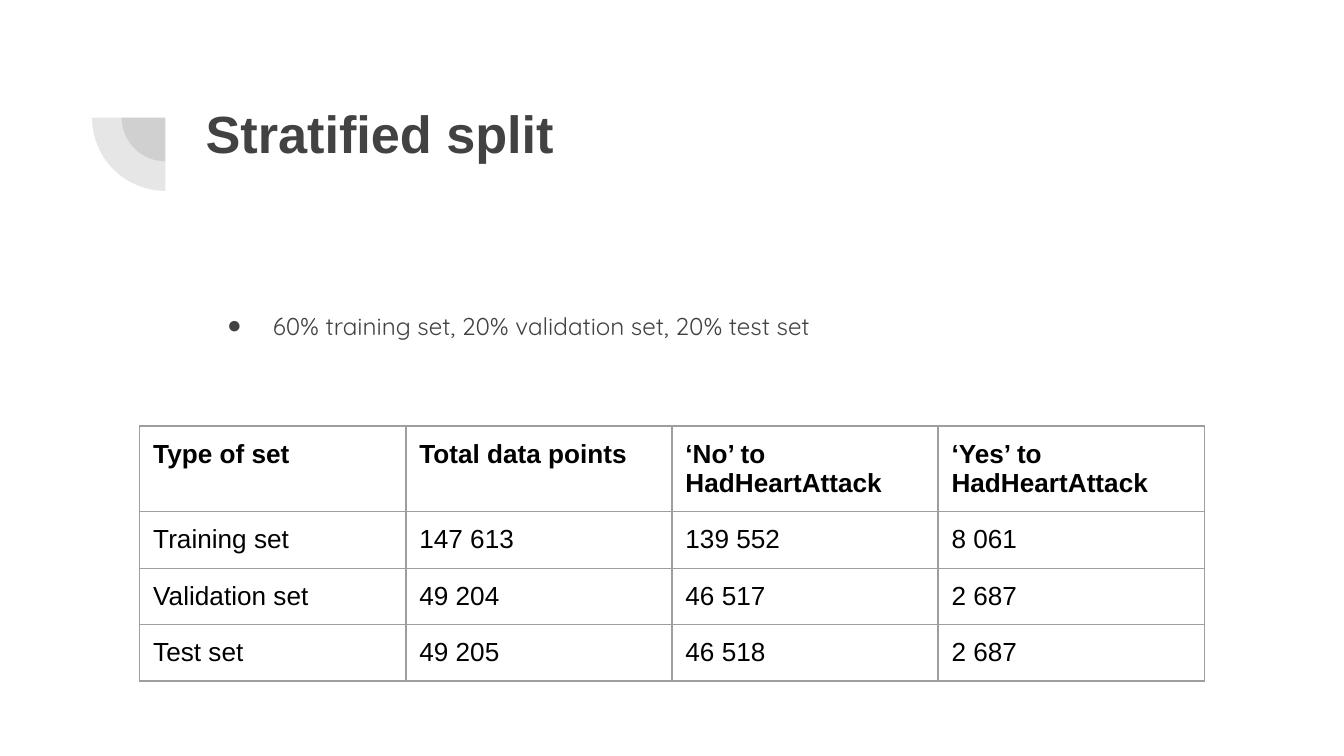
from lxml import etree
from pptx import Presentation
from pptx.dml import color
from pptx.enum import shapes, text
from pptx.oxml import ns
from pptx import util as u

GRID = 0.1  # inches per grid step
COLUMNS = 100
ROWS = COLUMNS * 9 / 16  # widescreen page


def steps(count):
    return u.Inches(count * GRID)


def rgb(hex_code):
    return color.RGBColor.from_string(hex_code)


def add_xml(parent, tag, **attributes):
    return etree.SubElement(parent, ns.qn(tag), attributes)


class SlideBuilder:
    INK, TABLE_INK, RULE = "424242", "000000", "9E9E9E"
    HEAD_FONT, BODY_FONT = "Arial", "Quicksand"

    def __init__(self, deck):
        self.page = deck.slides.add_slide(deck.slide_layouts[1])

    def style(self, para, size, font, ink, bold=False):
        para.font.size, para.font.name, para.font.bold = u.Pt(size), font, bold
        para.font.color.rgb = rgb(ink)
        para.alignment = text.PP_ALIGN.LEFT
        para.space_before = u.Pt(0)

    def placeholder(self, index, words, left, top, width, height):
        box = self.page.placeholders[index]
        box.left, box.top, box.width, box.height = map(steps, (left, top, width, height))
        frame = box.text_frame
        frame.text = words
        frame.word_wrap = True
        frame.auto_size = text.MSO_AUTO_SIZE.NONE
        frame.vertical_anchor = text.MSO_ANCHOR.TOP
        frame.margin_left = frame.margin_right = steps(1)
        frame.margin_top = frame.margin_bottom = steps(1)
        return frame.paragraphs[0]

    def title(self, words, *place):
        self.style(self.placeholder(0, words, *place), 28, self.HEAD_FONT, self.INK, True)

    def bullet(self, words, *place):
        para = self.placeholder(1, words, *place)
        self.style(para, 13, self.BODY_FONT, self.INK)
        para.line_spacing = 1.15
        props = para._p.get_or_add_pPr()
        props.set("marL", str(u.Inches(0.5)))
        props.set("indent", str(u.Inches(-0.34)))
        add_xml(add_xml(props, "a:buClr"), "a:srgbClr", val=self.INK)
        add_xml(props, "a:buChar", char="●")

    def quarter(self, center_x, center_y, radius):
        pie = self.page.shapes.add_shape(
            shapes.MSO_SHAPE.PIE, steps(center_x - radius), steps(center_y - radius),
            steps(2 * radius), steps(2 * radius))
        pie.adjustments[0], pie.adjustments[1] = 108, 162  # 180 to 270 degrees
        pie.rotation = 270
        pie.shadow.inherit = False
        pie.line.fill.background()
        pie.fill.solid()
        pie.fill.fore_color.rgb = rgb(self.INK)
        tint = pie._element.spPr.find(ns.qn("a:solidFill"))[0]
        add_xml(tint, "a:alpha", val="13000")

    def border(self, cell):
        props = cell._tc.get_or_add_tcPr()
        for side in ("a:lnL", "a:lnR", "a:lnT", "a:lnB"):
            line = add_xml(props, side, w=str(u.Pt(0.75)))
            add_xml(add_xml(line, "a:solidFill"), "a:srgbClr", val=self.RULE)

    def table(self, rows, left, top, column_width, row_height):
        columns = len(rows[0])
        table = self.page.shapes.add_table(
            len(rows), columns, steps(left), steps(top),
            steps(columns * column_width), steps(len(rows) * row_height)).table
        table.first_row = table.horz_banding = False
        for r, row in enumerate(rows):
            for c, words in enumerate(row):
                cell = table.cell(r, c)
                cell.text = words
                cell.margin_left = cell.margin_right = steps(1)
                cell.margin_top = cell.margin_bottom = steps(1)
                self.style(cell.text_frame.paragraphs[0], 14, self.HEAD_FONT,
                           self.TABLE_INK, bold=r == 0)
                self.border(cell)
                cell.fill.background()


def main():
    deck = Presentation()
    deck.slide_width, deck.slide_height = steps(COLUMNS), steps(ROWS)
    slide = SlideBuilder(deck)

    # Corner ornament: two concentric quarter discs
    for radius in (3.25, 5.45):
        slide.quarter(12.3, 8.75, radius)

    # Heading and bullet
    slide.title("Stratified split", 14.3, 6.5, 76.9, 10.9)
    slide.bullet("60% training set, 20% validation set, 20% test set", 14.3, 21.8, 76.9, 27.8)

    # Sizes of the sets
    slide.table([
        ("Type of set", "Total data points", "‘No’ to HadHeartAttack", "‘Yes’ to HadHeartAttack"),
        ("Training set", "147 613", "139 552", "8 061"),
        ("Validation set", "49 204", "46 517", "2 687"),
        ("Test set", "49 205", "46 518", "2 687"),
    ], 10.4, 31.7, 19.8, 4.2)

    deck.save("out.pptx")


if __name__ == "__main__":
    main()
